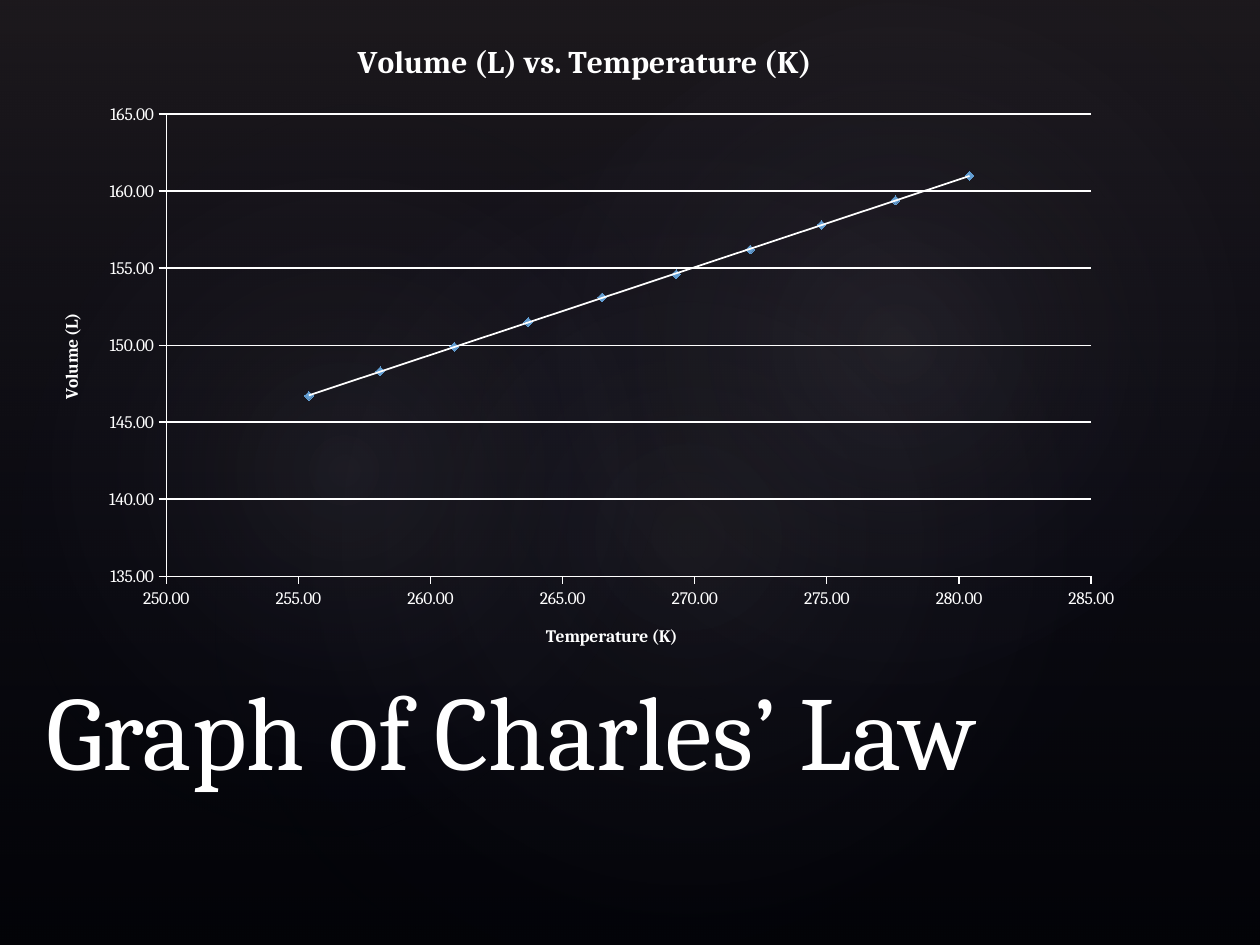
from pptx import Presentation
from pptx.chart.data import XyChartData
from pptx.dml.color import RGBColor
from pptx.enum.chart import XL_CHART_TYPE as ChartType, XL_MARKER_STYLE as Marker
from pptx.enum.chart import XL_TICK_MARK as Tick
from pptx.enum.shapes import MSO_SHAPE as Shape
from pptx.enum.text import MSO_ANCHOR as Anchor
from pptx.oxml import parse_xml
from pptx.oxml.ns import nsdecls
from pptx.util import Inches, Pt

WIDTH, HEIGHT = 10, 7.5
FONT = "Cambria"
COLORS = {
    "background": "000000",
    "text": "FFFFFF",
    "marker": "629DD1",
    "veil": "504652",
    "glow": "C4BCC6",
    "navy": "242852",
}
LINEAR = '<a:lin ang="5400000" scaled="0"/>'
RADIAL = ('<a:path path="circle">'
          '<a:fillToRect l="50000" t="50000" r="50000" b="50000"/></a:path>')
# left, top, width, height, rotation, opacity of the centre in percent
GLOWS = [
    (1.5, 1.14, 7.92, 6.24, 328.7, 7),
    (-0.3, 1.28, 6.06, 4.9, 294.3, 8),
    (3.58, 0.13, 7.09, 5.2, 328.7, 8),
]


def rgb(name):
    return RGBColor.from_string(COLORS[name])


def style_font(font, size, bold=False):
    font.name, font.size, font.bold = FONT, Pt(size), bold
    font.color.rgb = rgb("text")


def style_line(line, color="text", width=0.75):
    line.color.rgb = rgb(color)
    line.width = Pt(width)


def add_gradient_shape(slide, kind, box, stops, direction, rotation=0):
    """Stops are (position, color name, opacity), in percent."""
    shape = slide.shapes.add_shape(kind, *map(Inches, box))
    shape.rotation = rotation
    shape.shadow.inherit = False
    shape.line.fill.background()
    shape.fill.background()
    stop_xml = "".join(
        f'<a:gs pos="{position * 1000}"><a:srgbClr val="{COLORS[color]}">'
        f'<a:alpha val="{opacity * 1000}"/></a:srgbClr></a:gs>'
        for position, color, opacity in stops)
    gradient = parse_xml(f'<a:gradFill {nsdecls("a")} rotWithShape="1">'
                         f'<a:gsLst>{stop_xml}</a:gsLst>{direction}</a:gradFill>')
    properties = shape._element.spPr
    properties.replace(properties.find("{*}noFill"), gradient)


def add_backdrop(slide):
    slide.background.fill.solid()
    slide.background.fill.fore_color.rgb = rgb("background")
    add_gradient_shape(slide, Shape.RECTANGLE, (0, 0, WIDTH, HEIGHT),
                       [(0, "veil", 36), (100, "navy", 10)], LINEAR)
    for *box, rotation, opacity in GLOWS:
        add_gradient_shape(slide, Shape.OVAL, box,
                           [(0, "glow", opacity), (58, "navy", 0)], RADIAL, rotation)


def add_title(slide, text):
    box = slide.shapes.add_textbox(*map(Inches, (0.27, 5.33, 9.1, 1)))
    frame = box.text_frame
    frame.word_wrap = True
    frame.vertical_anchor = Anchor.BOTTOM
    frame.text = text
    style_font(frame.paragraphs[0].runs[0].font, 60)


def set_title(owner, text, size):
    """Title a chart or an axis."""
    title = owner.chart_title if hasattr(owner, "chart_title") else owner.axis_title
    title.text_frame.text = text
    style_font(title.text_frame.paragraphs[0].runs[0].font, size, bold=True)


def style_axis(axis, title, low, high):
    set_title(axis, title, 10)
    axis.minimum_scale, axis.maximum_scale, axis.major_unit = low, high, 5
    axis.major_tick_mark, axis.minor_tick_mark = Tick.OUTSIDE, Tick.NONE
    axis.tick_labels.number_format = "0.00"
    axis.tick_labels.number_format_is_linked = False
    style_font(axis.tick_labels.font, 10)
    style_line(axis.format.line)


def add_trend_line(series):
    trend = parse_xml(
        f'<c:trendline {nsdecls("c", "a")}><c:spPr><a:ln w="{Pt(1)}"><a:solidFill>'
        f'<a:srgbClr val="{COLORS["text"]}"/></a:solidFill></a:ln></c:spPr>'
        '<c:trendlineType val="linear"/><c:dispRSqr val="0"/><c:dispEq val="0"/>'
        '</c:trendline>')
    series._element.find("{*}xVal").addprevious(trend)


def set_plot_layout(chart, x, y, w, h):
    """Place the inner plot area, in shares of the chart's size."""
    area = chart._chartSpace.chart.plotArea
    for old in area.findall("{*}layout"):
        area.remove(old)
    sizes = "".join(f'<c:{key} val="{value}"/>'
                    for key, value in zip("xywh", (x, y, w, h)))
    area.insert(0, parse_xml(
        f'<c:layout {nsdecls("c")}><c:manualLayout><c:layoutTarget val="inner"/>'
        f'<c:xMode val="edge"/><c:yMode val="edge"/>{sizes}'
        '</c:manualLayout></c:layout>'))


def add_volume_chart(slide):
    data = XyChartData(number_format="0.00")
    points = data.add_series("Series 1")
    # Ten evenly spaced temperatures; volume rises in proportion
    for step in range(10):
        points.add_data_point(round(255.37 + 2.78 * step, 1),
                              round(146.7 + 1.59 * step, 1))
    box = map(Inches, (0.27, 0.12, 8.74, 5.24))
    chart = slide.shapes.add_chart(ChartType.XY_SCATTER, *box, data).chart
    style_font(chart.font, 10)
    chart.has_legend = False
    set_title(chart, "Volume (L) vs. Temperature (K)", 18)
    set_plot_layout(chart, 0.12, 0.15, 0.84, 0.7)

    style_axis(chart.category_axis, "Temperature (K)", 250, 285)
    style_axis(chart.value_axis, "Volume (L)", 135, 165)
    chart.category_axis.has_major_gridlines = False
    chart.value_axis.has_major_gridlines = True
    style_line(chart.value_axis.major_gridlines.format.line)

    plot = chart.plots[0]
    plot.vary_by_categories = False
    series = plot.series[0]
    series.smooth = False
    series.format.line.fill.background()
    series.marker.style, series.marker.size = Marker.DIAMOND, 5
    series.marker.format.fill.solid()
    series.marker.format.fill.fore_color.rgb = rgb("marker")
    style_line(series.marker.format.line, "marker")
    add_trend_line(series)


def main():
    presentation = Presentation()
    presentation.slide_width = Inches(WIDTH)
    presentation.slide_height = Inches(HEIGHT)
    slide = presentation.slides.add_slide(presentation.slide_layouts[6])
    add_backdrop(slide)
    add_title(slide, "Graph of Charles’ Law")
    add_volume_chart(slide)
    presentation.save("out.pptx")


if __name__ == "__main__":
    main()
